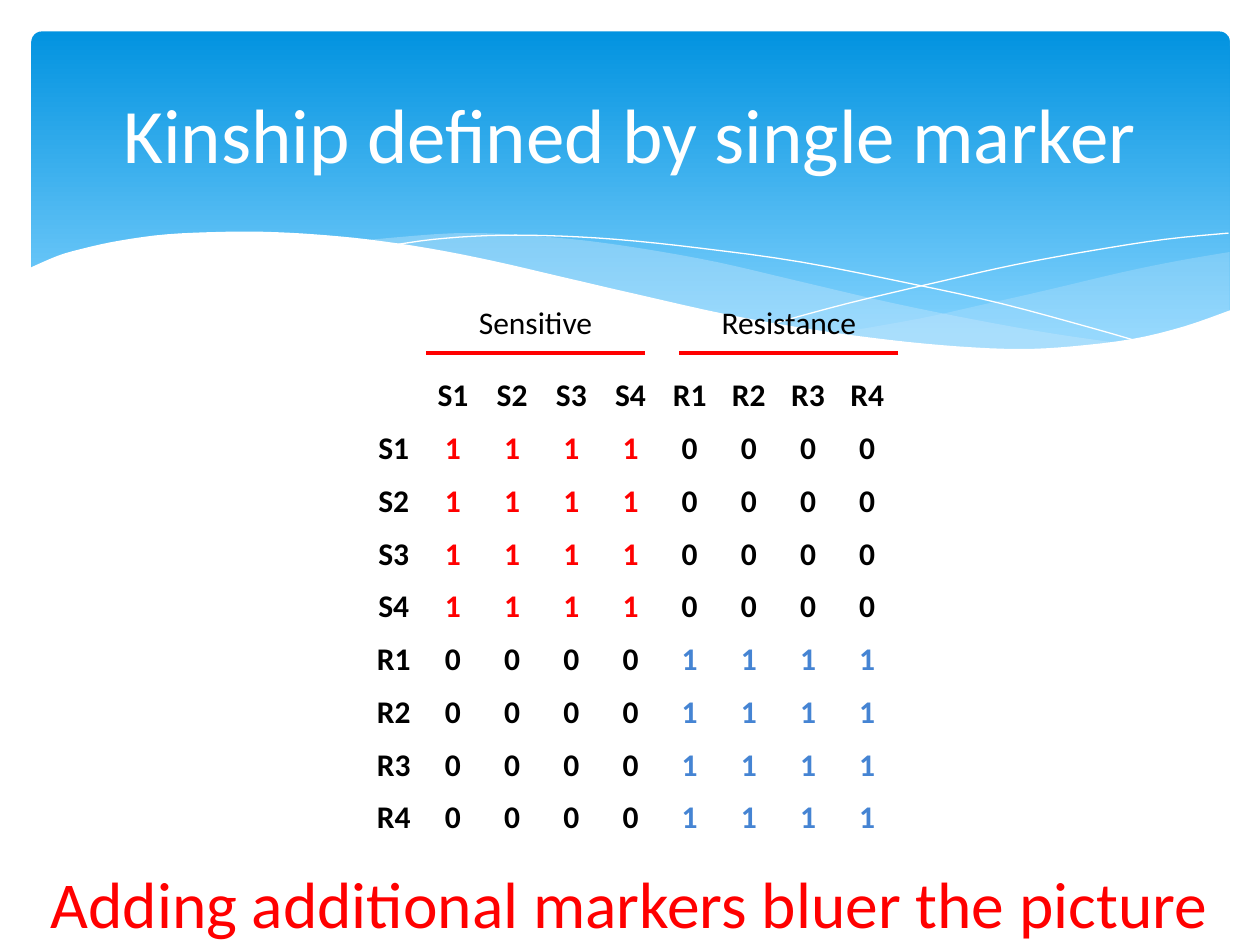
from lxml.etree import SubElement
from pptx import Presentation
from pptx.dml.color import RGBColor
from pptx.enum.shapes import MSO_CONNECTOR, MSO_SHAPE
from pptx.enum.text import MSO_ANCHOR, PP_ALIGN
from pptx.oxml.ns import qn
from pptx.util import Inches, Pt

hue = RGBColor.from_string
deck = Presentation()
deck.slide_width, deck.slide_height = Inches(10), Inches(7.5)
cell = deck.slide_width // 100
slide = deck.slides.add_slide(deck.slide_layouts[5])
shapes = slide.shapes
RED, BLUE, BLACK, WHITE, PALE = "FF0000", "4584D3", "000000", "FFFFFF", "C6E7FC"


def write(frame, text, size, color, bold=False):
    frame.text = text
    frame.word_wrap = True
    line = frame.paragraphs[0]
    line.alignment = PP_ALIGN.CENTER
    look = {"name": "Calibri", "size": Pt(size), "bold": bold}
    for key, value in look.items():
        setattr(line.font, key, value)
    line.font.color.rgb = hue(color)


def smooth(edge):
    ends = [edge[0], *edge, edge[-1]]
    curve = [edge[0]]
    for a, b, c, d in zip(ends, ends[1:], ends[2:], ends[3:]):
        for t in (0.25, 0.5, 0.75, 1):
            curve.append(tuple(
                (2 * q + (r - p) * t + (2 * p - 5 * q + 4 * r - s) * t**2
                 + (3 * q - p - 3 * r + s) * t**3) / 2
                for p, q, r, s in zip(a, b, c, d)))
    return [(x * cell, y * cell) for x, y in curve]


banner = shapes.add_shape(
    MSO_SHAPE.ROUNDED_RECTANGLE, *[int(n * cell) for n in (2.5, 2.5, 95.1, 27)])
banner.adjustments[0] = 0.03
banner.shadow.inherit = False
banner.line.fill.background()
banner.fill.gradient()
banner.fill.gradient_angle = 270
for stop, place, color in zip(banner.fill.gradient_stops, (0, 0.9), ("0293E0", "83D3FE")):
    stop.position = place
    stop.color.rgb = hue(color)

waves = [
    (PALE, 29, [
        [(97.6, 20), (93.5, 20.7), (89.1, 21.6), (83.2, 23), (77.9, 24.2),
         (72.9, 25.3), (66.1, 26.5)],
        [(66.1, 26.5), (71.9, 27.1), (75.7, 27.6), (80.3, 27.8), (85.4, 27.6),
         (89.7, 27), (93.5, 26.2), (97.6, 24.7)]]),
    (PALE, 40, [
        [(89.3, 27.3), (83.7, 26.5), (77.5, 25.4), (70.6, 24), (62.9, 22.2),
         (56.9, 20.8), (51.4, 19.8), (46.5, 19.1), (42, 18.7), (38, 18.5),
         (34.4, 18.6), (28.6, 19.1)],
        [(28.6, 19.1), (34.2, 19.9), (40.4, 21.1), (44.9, 22.2), (53, 24),
         (60.1, 25.5), (66.5, 26.6), (72.2, 27.4), (77.3, 27.7), (81.8, 27.8),
         (85.7, 27.7), (89.3, 27.3)]]),
    (None, 100, [
        [(30.9, 19.5), (34.4, 19), (38.7, 18.7), (43.3, 18.7), (48.9, 19),
         (55.6, 19.7), (63.6, 20.8), (72.7, 22.6), (79.5, 24.1), (86.9, 26.1),
         (90.7, 27.2)]]),
    (None, 100, [
        [(61.3, 25.7), (67.2, 24.1), (74.8, 22.3), (80.6, 21), (86.6, 19.9),
         (92.4, 19), (97.5, 18.5)]]),
    (WHITE, 100, [
        [(97.7, 24.6), (94, 25.9), (89.9, 26.9), (85, 27.5), (80.9, 27.7),
         (76.1, 27.5), (70.8, 27), (64.8, 26.2), (57.9, 25), (50.3, 23.3),
         (44.7, 22), (39.1, 20.7), (34, 19.7), (29.2, 19), (25, 18.6),
         (21.1, 18.4), (17.7, 18.4), (13.2, 18.6), (9.5, 19.1), (6.7, 19.7),
         (4.6, 20.3), (2.3, 21.3)],
        [(2.3, 21.3), (2.3, 32.9)], [(2.3, 32.9), (97.7, 32.9)]]),
]
for color, alpha, edges in waves:
    path = [spot for edge in edges for spot in smooth(edge)]
    pen = shapes.build_freeform(*path[0], scale=1.0)
    pen.add_line_segments(path[1:], close=bool(color))
    wave = pen.convert_to_shape()
    wave.shadow.inherit = False
    if color:
        wave.line.fill.background()
        wave.fill.solid()
        wave.fill.fore_color.rgb = hue(color)
        if alpha < 100:
            tone = wave.fill._xPr.find(".//" + qn("a:srgbClr"))
            SubElement(tone, qn("a:alpha")).set("val", str(alpha * 1000))
    else:
        wave.fill.background()
        wave.line.color.rgb = hue(WHITE)
        wave.line.width = Pt(0)

title = shapes.title
shapes._spTree.append(title._element)
sides = ("left", "top", "width", "height")
for side, span in zip(sides, (5, 3.7, 90, 13.7)):
    setattr(title, side, int(span * cell))
write(title.text_frame, "Kinship defined by single marker", 44, WHITE)
title.text_frame.vertical_anchor = MSO_ANCHOR.MIDDLE

names = [kind + str(n) for kind in "SR" for n in range(1, 5)]
size = len(names) + 1
grid = shapes.add_table(
    size, size, *[int(n * cell) for n in (28.9, 29.3, 42.3, 37.7)]).table
grid.first_row = grid.horz_banding = False
pad = {"margin_left": Inches(0.01), "margin_right": Inches(0.01),
       "margin_top": Inches(0.01), "margin_bottom": 0,
       "vertical_anchor": MSO_ANCHOR.MIDDLE}
tints = {"S": RED, "R": BLUE}
for i, row in enumerate(["", *names]):
    for j, col in enumerate(["", *names]):
        box = grid.cell(i, j)
        box.fill.background()
        for key, value in pad.items():
            setattr(box, key, value)
        if row and col:
            same = row[0] == col[0]
            write(box.text_frame, str(int(same)), 18, tints[row[0]] if same else BLACK, True)
        elif row or col:
            write(box.text_frame, row or col, 18, BLACK, True)

for k, name in enumerate(("Sensitive", "Resistance")):
    left = 33.8 + 20.1 * k
    rule = shapes.add_connector(
        MSO_CONNECTOR.STRAIGHT, *[int(n * cell) for n in (left + 17.4, 28, left, 28)])
    rule.line.color.rgb = hue(RED)
    rule.line.width = Pt(2)
    SubElement(rule._element.spPr, qn("a:effectLst"))
    label = shapes.add_textbox(*[int(n * cell) for n in (left + 1.6, 23.6, 14.2, 4)])
    write(label.text_frame, name, 18, BLACK)

note = shapes.add_textbox(*[int(n * cell) for n in (0, 68.2, 100, 6.8)])
write(note.text_frame, "Adding additional markers bluer the picture", 37.4, RED)
note.text_frame.vertical_anchor = MSO_ANCHOR.MIDDLE

deck.save("out.pptx")
